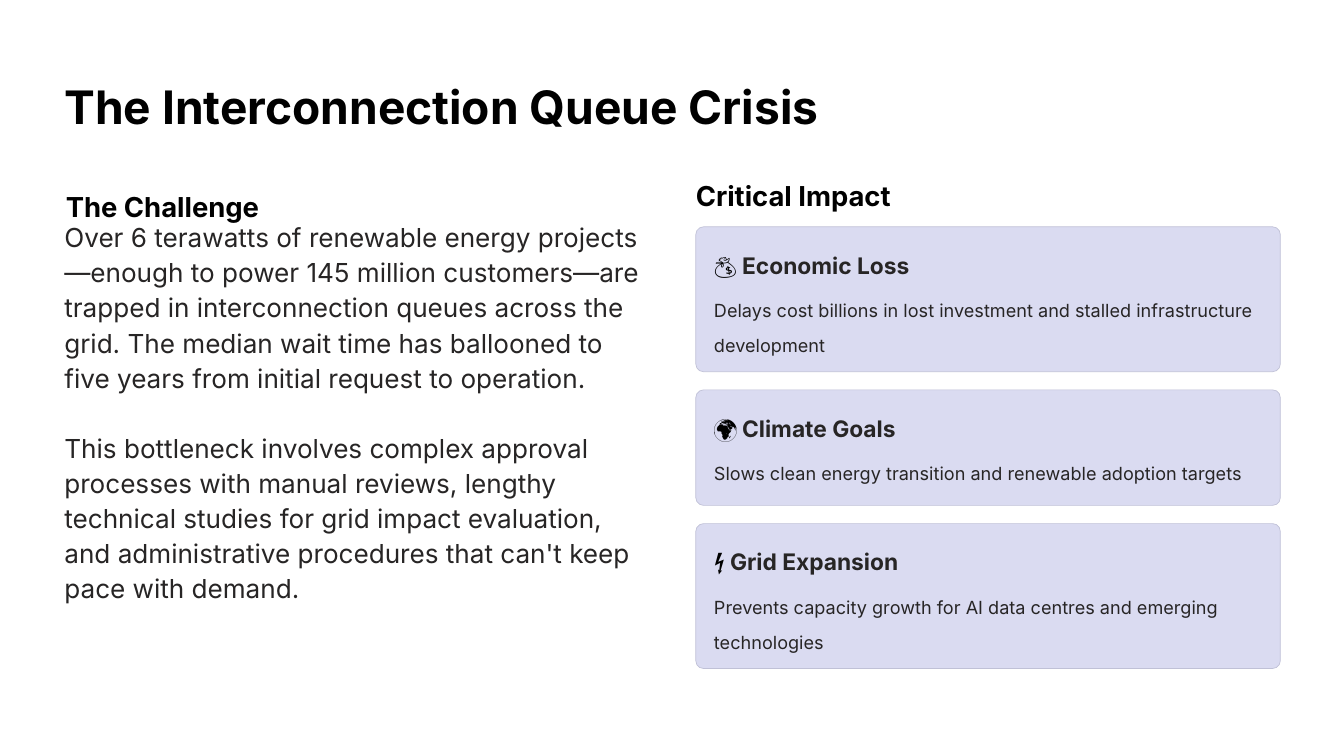
from lxml import etree
from pptx import Presentation
from pptx.dml.color import RGBColor
from pptx.enum.shapes import MSO_SHAPE
from pptx.enum.text import MSO_ANCHOR, MSO_AUTO_SIZE, PP_ALIGN
from pptx.oxml.ns import qn
from pptx.util import Emu, Pt

ROUNDED = MSO_SHAPE.ROUNDED_RECTANGLE
TOP = MSO_ANCHOR.TOP
LEFT = PP_ALIGN.LEFT
GROW = MSO_AUTO_SIZE.SHAPE_TO_FIT_TEXT
TITLE_AND_CONTENT = 1

PX = 9525
COLORS = {"black": "000000", "ink": "272525", "card": "DADBF1",
          "border": "C0C1D7", "white": "FFFFFF"}
STYLES = {
    "title": {"size": 49.4, "bold": True, "color": "black", "spacing": 1.25},
    "heading": {"size": 29.4, "bold": True, "color": "black", "spacing": 1.26},
    "body": {"size": 28, "bold": False, "color": "ink", "spacing": 1.12},
    "card_title": {"size": 24.4, "bold": True, "color": "ink", "spacing": 1.26},
    "card_detail": {"size": 19.4, "bold": False, "color": "ink", "spacing": 1.61},
}

CHALLENGE = [
    "Over 6 terawatts of renewable energy projects—enough to power 145 million "
    "customers—are trapped in interconnection queues across the grid. The median "
    "wait time has ballooned to five years from initial request to operation.",
    "This bottleneck involves complex approval processes with manual reviews, "
    "lengthy technical studies for grid impact evaluation, and administrative "
    "procedures that can't keep pace with demand.",
]
# Icon, title, detail, height of the detail text
IMPACTS = [
    ("💰", "Economic Loss",
     "Delays cost billions in lost investment and stalled infrastructure development", 93),
    ("🌍", "Climate Goals",
     "Slows clean energy transition and renewable adoption targets", 51),
    ("⚡", "Grid Expansion",
     "Prevents capacity growth for AI data centres and emerging technologies", 93),
]


def px(*lengths):
    return [Emu(length * PX) for length in lengths]


def rgb(name):
    return RGBColor.from_string(COLORS[name])


class SlideBuilder:
    """Holds the font and the current slide."""

    font_name = "Inter"

    def __init__(self, slide):
        self.slide = slide
        slide.background.fill.solid()
        slide.background.fill.fore_color.rgb = rgb("white")

    def fill_text(self, shape, paragraphs, style_name, gap=0):
        """Fill a shape with paragraphs, each a list of (text, color) runs."""
        style = STYLES[style_name]
        frame = shape.text_frame
        frame_format = {"margin_left": 0, "margin_top": 0, "margin_right": 0,
                        "margin_bottom": 0, "word_wrap": True,
                        "vertical_anchor": TOP, "auto_size": GROW}
        for name, value in frame_format.items():
            setattr(frame, name, value)
        for index, runs in enumerate(paragraphs):
            paragraph = frame.add_paragraph() if index else frame.paragraphs[0]
            paragraph_format = {"alignment": LEFT, "line_spacing": style["spacing"],
                                "space_before": Pt(gap if index else 0),
                                "space_after": Pt(0)}
            for name, value in paragraph_format.items():
                setattr(paragraph, name, value)
            if shape.is_placeholder:
                self.remove_bullet(paragraph)
            for text, color in runs:
                run = paragraph.add_run()
                run.text = text
                run_format = {"name": self.font_name, "size": Pt(style["size"]),
                              "bold": style["bold"]}
                for name, value in run_format.items():
                    setattr(run.font, name, value)
                run.font.color.rgb = rgb(color or style["color"])

    def remove_bullet(self, paragraph):
        properties = paragraph._p.get_or_add_pPr()
        properties.set("marL", "0")
        properties.set("indent", "0")
        etree.SubElement(properties, qn("a:buNone"))

    def placeholder(self, index, texts, style_name, box, gap=0):
        shape = self.slide.placeholders[index]
        for name, value in zip(("left", "top", "width", "height"), px(*box)):
            setattr(shape, name, value)
        self.fill_text(shape, [[(text, None)] for text in texts], style_name, gap)

    def text(self, runs, style_name, box):
        self.fill_text(self.slide.shapes.add_textbox(*px(*box)), [runs], style_name)

    def panel(self, left, top, width, height, radius=11):
        shape = self.slide.shapes.add_shape(ROUNDED, *px(left, top, width, height))
        shape.adjustments[0] = radius / min(width, height)
        shape.shadow.inherit = False
        shape.fill.solid()
        shape.fill.fore_color.rgb = rgb("card")
        shape.line.color.rgb = rgb("border")
        shape.line.width = Pt(0.75)

    def impact_card(self, top, icon, title, detail, detail_height):
        """Draw a card and return its bottom edge."""
        height = detail_height + 114
        self.panel(994, top, 835, height)
        self.text([(icon, "black"), (f" {title}", None)], "card_title",
                  (1020, top + 25, 330, 43))
        self.text([(detail, None)], "card_detail",
                  (1020, top + 85, 780, detail_height))
        return top + height


def main():
    presentation = Presentation()
    presentation.slide_width, presentation.slide_height = px(1920, 1080)
    layout = presentation.slide_layouts[TITLE_AND_CONTENT]
    builder = SlideBuilder(presentation.slides.add_slide(layout))

    builder.placeholder(0, ["The Interconnection Queue Crisis"], "title",
                        (92, 92, 1082, 85))
    builder.text([("The Challenge", None)], "heading", (94, 260, 396, 51))
    builder.placeholder(1, CHALLENGE, "body", (92, 311, 835, 501), gap=37.5)

    builder.text([("Critical Impact", None)], "heading", (994, 243, 396, 51))
    top = 324
    for impact in IMPACTS:
        top = builder.impact_card(top, *impact) + 26

    presentation.save("out.pptx")


if __name__ == "__main__":
    main()
